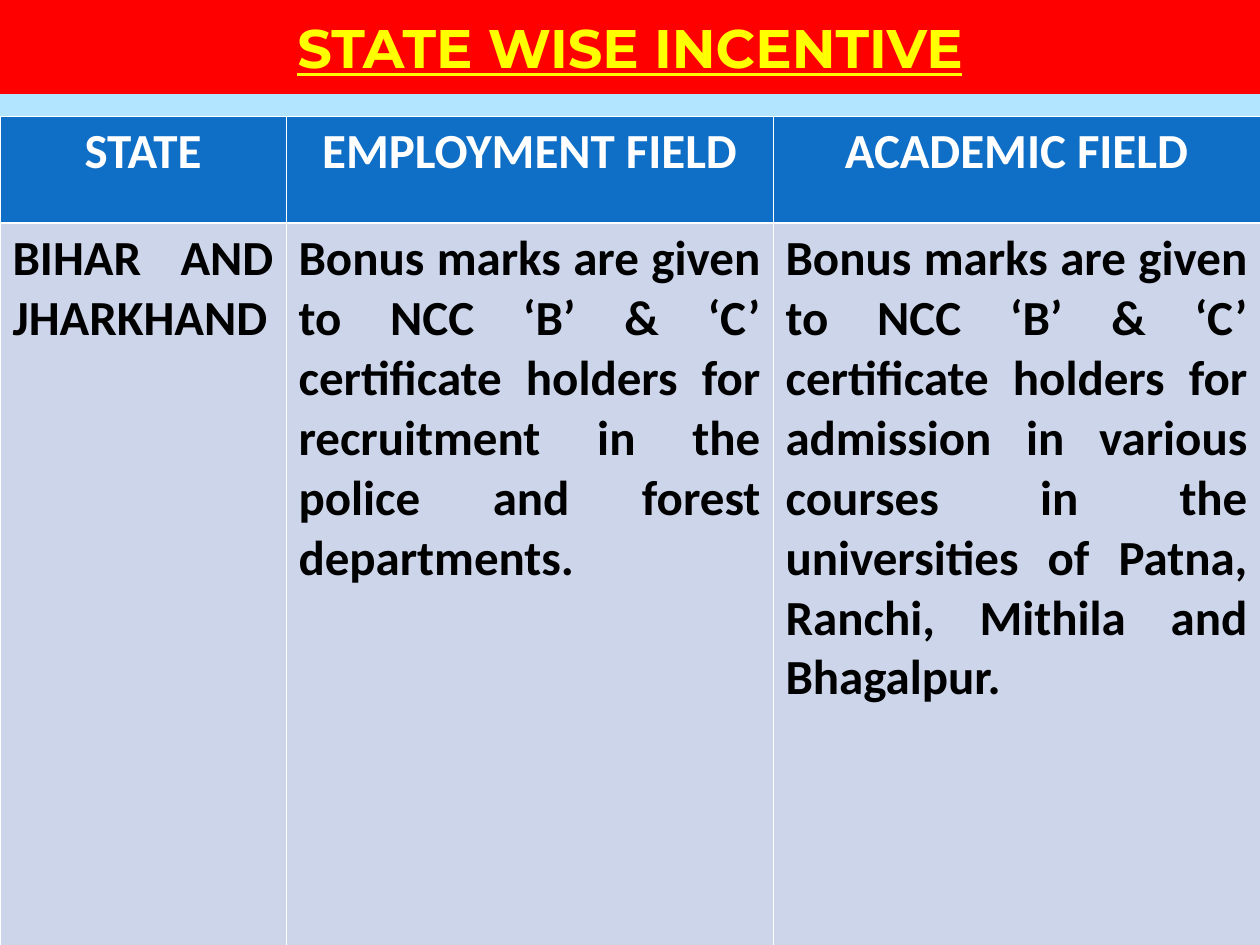
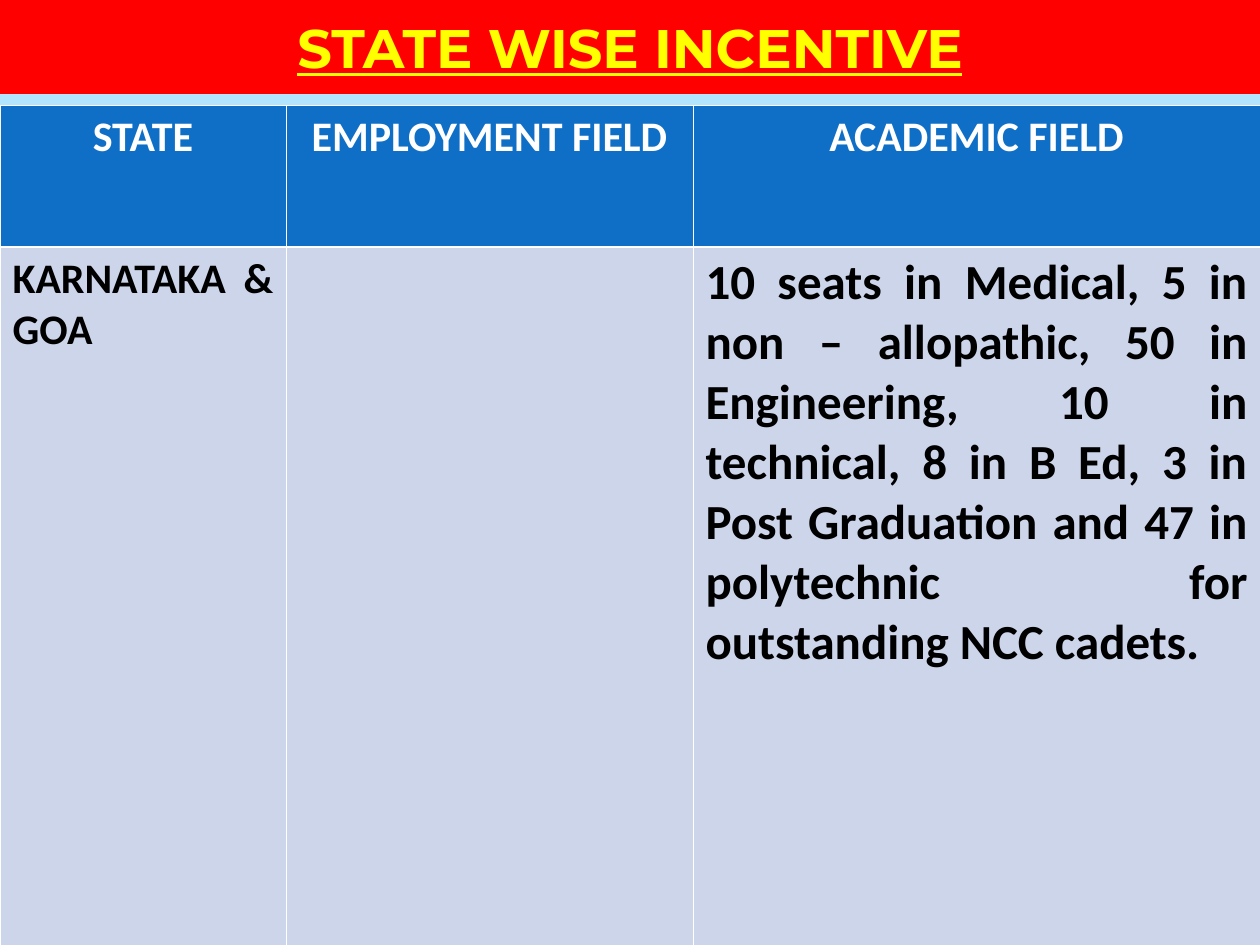
from lxml.etree import SubElement
from pptx import Presentation
from pptx.dml.color import RGBColor
from pptx.enum.shapes import MSO_SHAPE
from pptx.enum.text import MSO_ANCHOR, PP_ALIGN
from pptx.oxml.ns import qn
from pptx.util import Emu, Pt

COLORS = {
    "background": "B2E5FF",
    "band": "FF0000",
    "title": "FFFF00",
    "header": "0F6FC6",
    "body": "CCD5EA",
    "border": "FFFFFF",
    "header_text": "FFFFFF",
    "body_text": "000000",
}
TITLE_FONT, TABLE_FONT = "Montserrat", "Calibri"
THIN, THICK = 0.45, 1.47
WIDTH, HEIGHT, BAND_HEIGHT = 1260, 945, 94

TITLE = "STATE WISE INCENTIVE"
HEADINGS = ("STATE", "EMPLOYMENT FIELD", "ACADEMIC FIELD")
# Each body entry is a text and its size in points.
INCENTIVES = [
    {
        "top": 116, "header_height": 107, "columns": (286, 487, 487),
        "heading_size": 28,
        "body": [
            ("BIHAR AND JHARKHAND", 28),
            ("Bonus marks are given to NCC ‘B’ & ‘C’ certificate holders for "
             "recruitment in the police and forest departments.", 28),
            ("Bonus marks are given to NCC ‘B’ & ‘C’ certificate holders for "
             "admission in various courses in the universities of Patna, "
             "Ranchi, Mithila and Bhagalpur.", 28),
        ],
    },
    {
        "top": 105, "header_height": 142, "columns": (286, 407, 567),
        "heading_size": 24,
        "body": [
            ("KARNATAKA & GOA", 24),
            ("", 24),
            ("10 seats in Medical, 5 in non – allopathic, 50 in Engineering, "
             "10 in technical, 8 in B Ed, 3 in Post Graduation and 47 in "
             "polytechnic for outstanding NCC cadets.", 28),
        ],
    },
]


def px(n):
    return Emu(round(n * 914400 / 126))


def rgb(name):
    return RGBColor.from_string(COLORS[name])


def paint(fill, name):
    fill.solid()
    fill.fore_color.rgb = rgb(name)


def write(tf, text, size, font, color, align):
    p = tf.paragraphs[0]
    p.alignment = align
    r = p.add_run()
    r.text = text
    r.font.name, r.font.size, r.font.bold = font, Pt(size), True
    r.font.color.rgb = rgb(color)
    return r


def set_borders(cell, top, bottom):
    tcPr = cell._tc.get_or_add_tcPr()
    for side, width in (("L", THIN), ("R", THIN), ("T", top), ("B", bottom)):
        ln = SubElement(tcPr, qn(f"a:ln{side}"), w=str(Pt(width)))
        fill = SubElement(ln, qn("a:solidFill"))
        SubElement(fill, qn("a:srgbClr"), val=COLORS["border"])


def add_title_band(s):
    sp = s.shapes.add_shape(MSO_SHAPE.RECTANGLE, 0, 0, px(WIDTH), px(BAND_HEIGHT))
    sp.shadow.inherit = False
    paint(sp.fill, "band")
    sp.line.fill.background()
    tf = sp.text_frame
    tf.word_wrap = True
    tf.vertical_anchor = MSO_ANCHOR.MIDDLE
    r = write(tf, TITLE, 31, TITLE_FONT, "title", PP_ALIGN.CENTER)
    r.font.underline = True


def add_incentive_table(s, state):
    height = HEIGHT - state["top"]
    table = s.shapes.add_table(2, len(HEADINGS), 0, px(state["top"]),
                               px(WIDTH), px(height)).table
    for column, width in zip(table.columns, state["columns"]):
        column.width = px(width)
    table.rows[0].height = px(state["header_height"])
    table.rows[1].height = px(height - state["header_height"])

    headings = [(text, state["heading_size"]) for text in HEADINGS]
    rows = [
        (headings, "header", PP_ALIGN.CENTER, THIN, THICK),
        (state["body"], "body", PP_ALIGN.JUSTIFY, THICK, THIN),
    ]
    for i, (entries, style, align, top, bottom) in enumerate(rows):
        for j, (text, size) in enumerate(entries):
            cell = table.cell(i, j)
            set_borders(cell, top, bottom)
            paint(cell.fill, style)
            if text:
                write(cell.text_frame, text, size, TABLE_FONT, f"{style}_text", align)


def main():
    prs = Presentation()
    prs.slide_width, prs.slide_height = px(WIDTH), px(HEIGHT)
    for state in INCENTIVES:
        s = prs.slides.add_slide(prs.slide_layouts[6])
        paint(s.background.fill, "background")
        add_title_band(s)
        add_incentive_table(s, state)
    prs.save("out.pptx")


if __name__ == "__main__":
    main()
